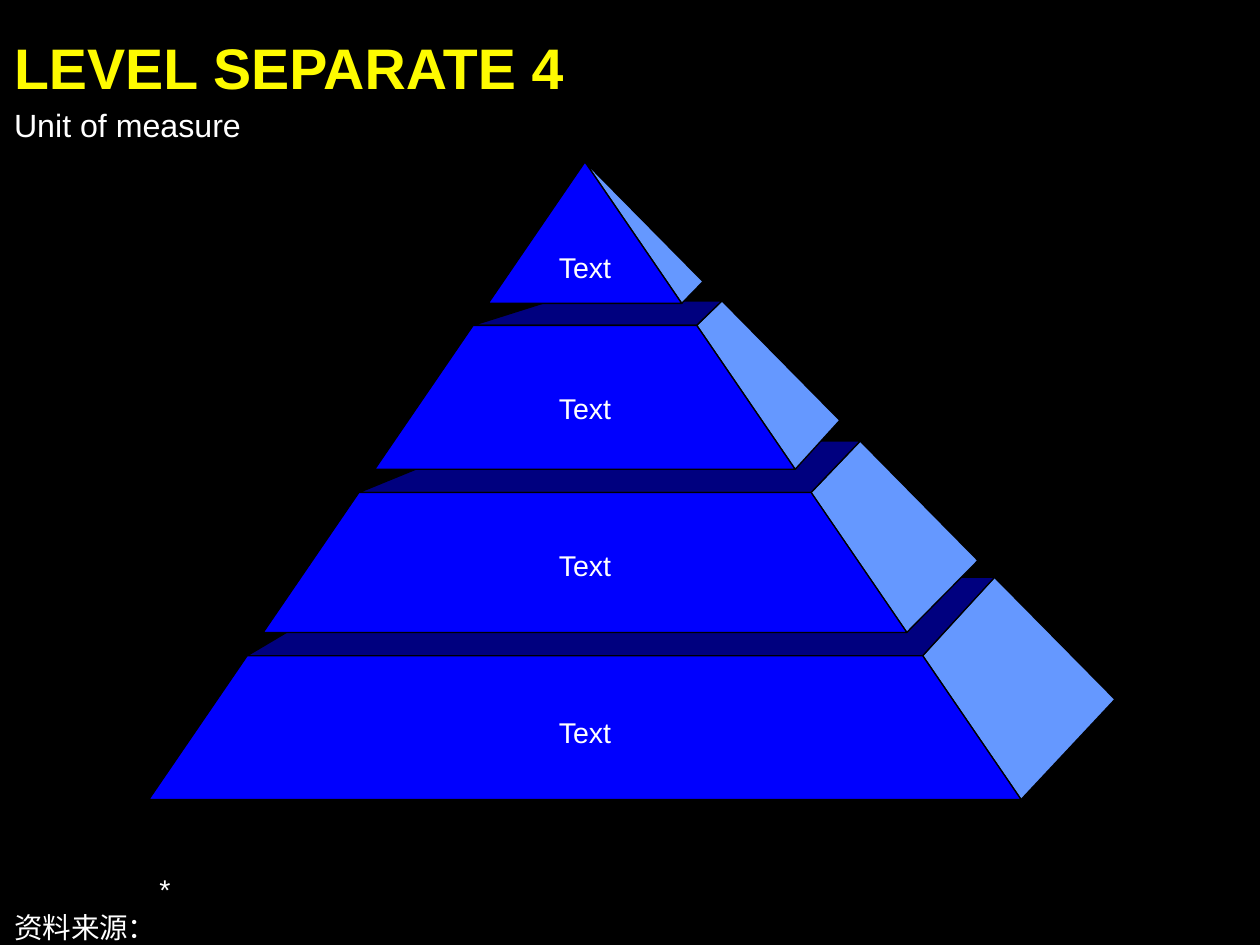
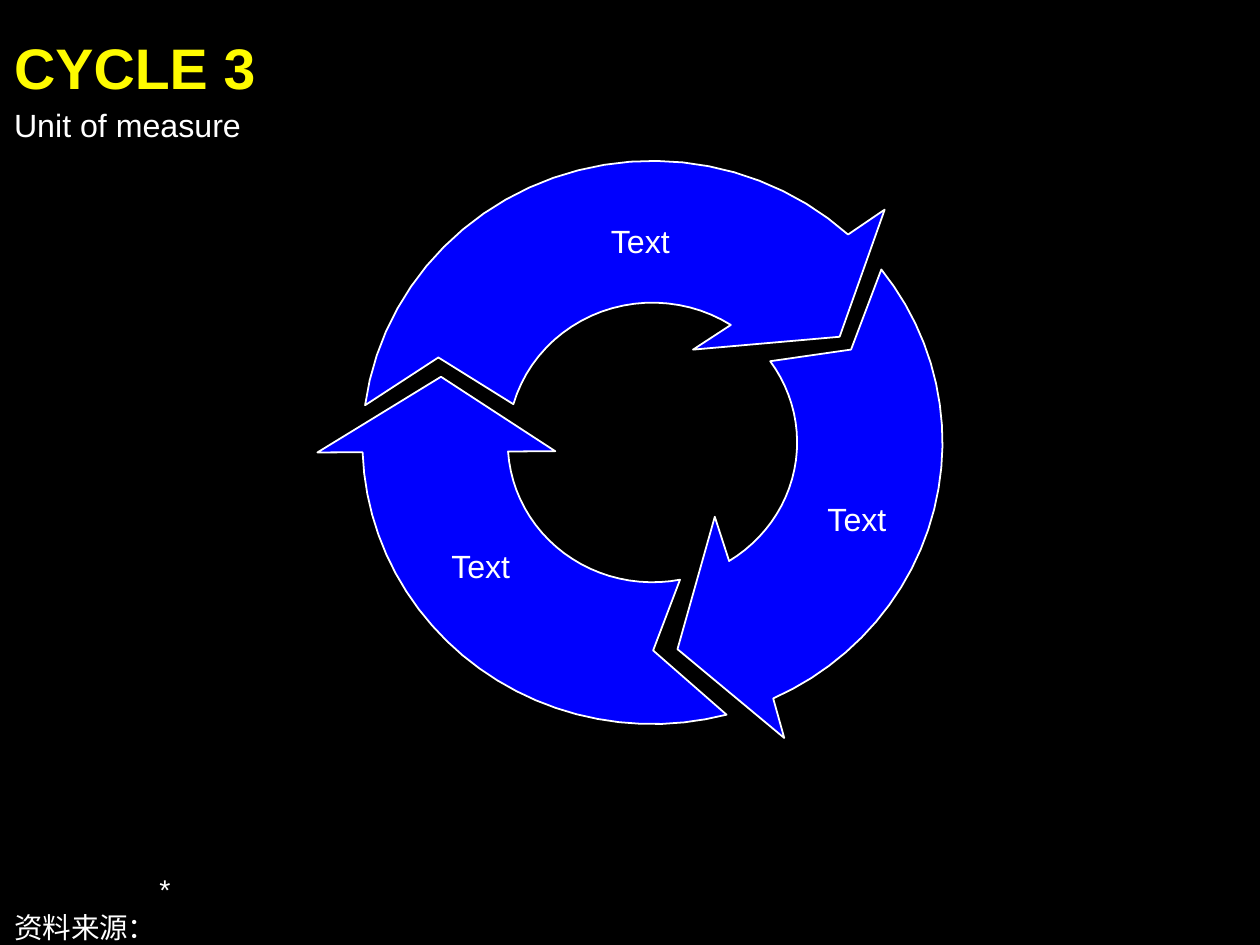
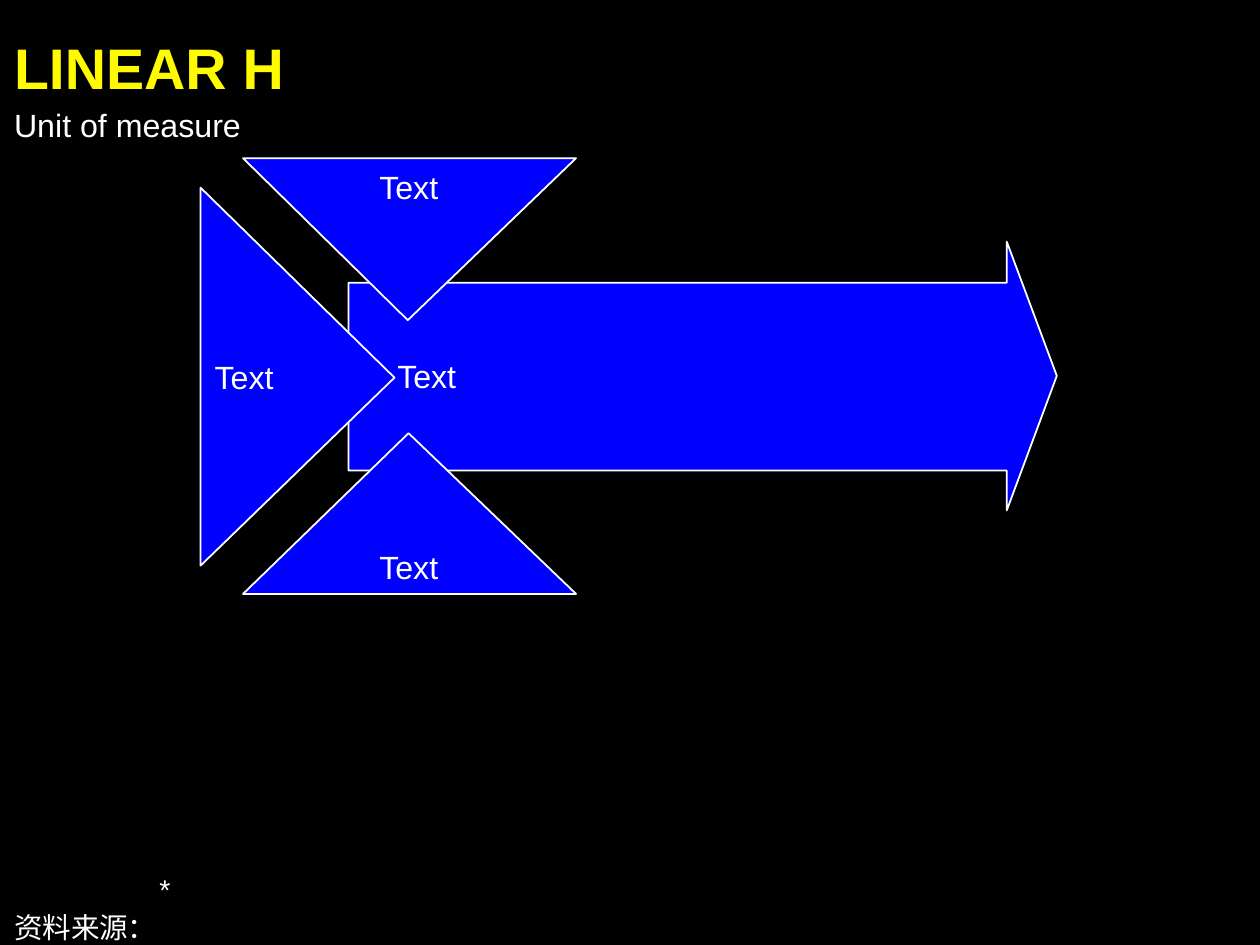
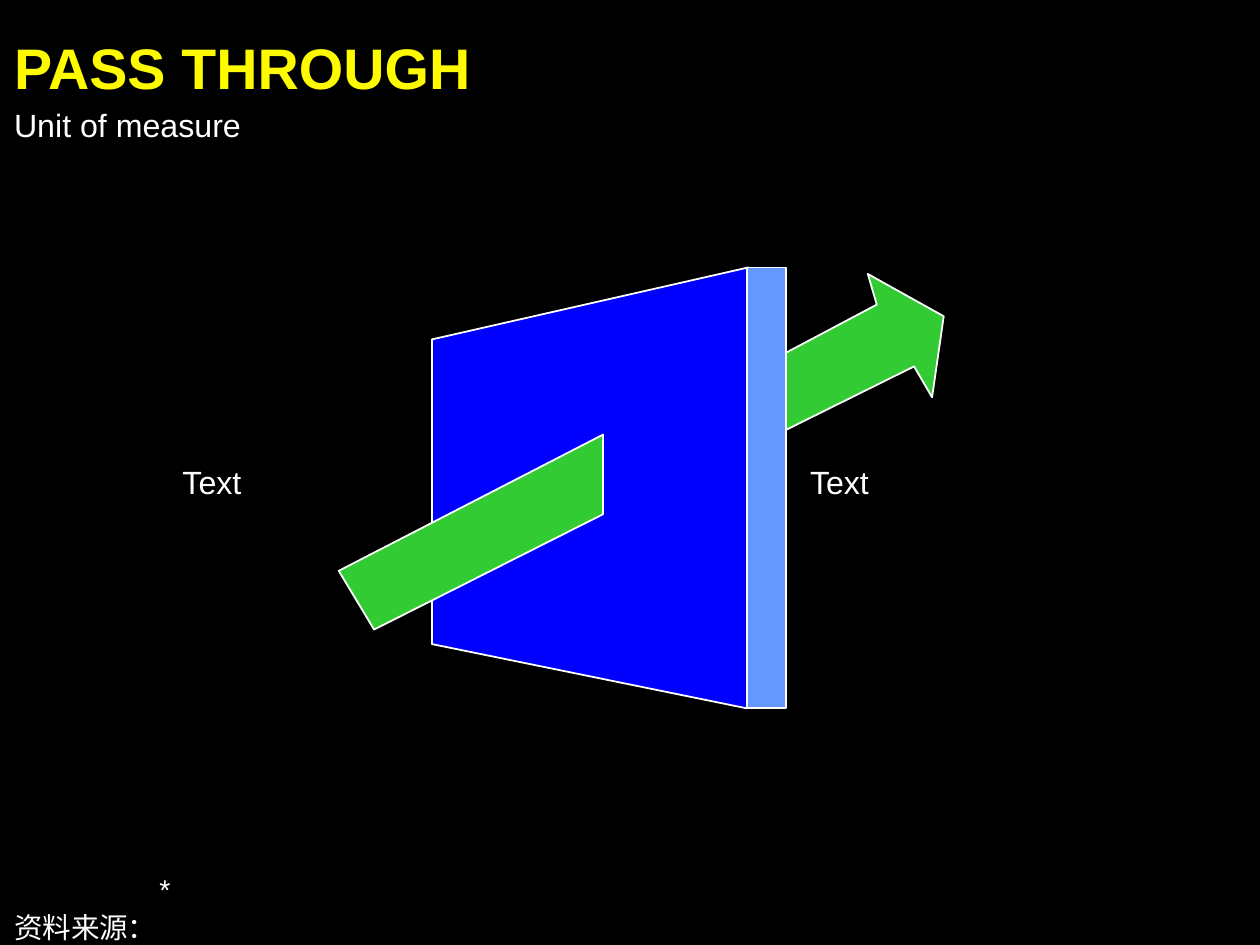
from math import cos, radians, sin

from lxml.etree import SubElement
from pptx import Presentation
from pptx.dml.color import RGBColor
from pptx.enum.shapes import MSO_SHAPE as Preset
from pptx.enum.text import MSO_ANCHOR as Anchor, MSO_AUTO_SIZE as AutoSize, PP_ALIGN as Align
from pptx.oxml.ns import qn
from pptx.util import Pt

BLACK, WHITE, YELLOW = "000000", "FFFFFF", "FEFB00"
BLUE, LIGHT_BLUE, GREEN = "0000FE", "6598FF", "33CB33"


def color(hex_string):
    return RGBColor.from_string(hex_string)


class Deck:
    """Holds the shared style and the slide being drawn; all lengths are points."""

    font_name = "Arial"
    left = 7.9

    def __init__(self, width, height):
        self.presentation = Presentation()
        self.presentation.slide_width = Pt(width)
        self.presentation.slide_height = Pt(height)
        background = self.presentation.slide_master.background.fill
        background.solid()
        background.fore_color.rgb = color(BLACK)
        self.slide = None

    def add_slide(self, title):
        layout = self.presentation.slide_layouts.get_by_name("Title Only")
        self.slide = self.presentation.slides.add_slide(layout)
        placeholder = self.slide.shapes.title
        placeholder.left, placeholder.top = Pt(self.left), Pt(18)
        placeholder.width, placeholder.height = Pt(684.7), Pt(38.2)
        self.format_frame(placeholder.text_frame, Anchor.TOP)
        self.add_text_run(placeholder.text_frame.paragraphs[0], title, 32, YELLOW, bold=True)
        self.text("Unit of measure", self.left, 59, 521.3)
        self.footer("\t*", "资料来源：")

    def format_frame(self, frame, anchor):
        frame.word_wrap = True
        frame.auto_size = AutoSize.NONE
        frame.vertical_anchor = anchor
        frame.margin_left = frame.margin_right = frame.margin_top = frame.margin_bottom = 0

    def add_text_run(self, paragraph, text, size, text_color=WHITE, bold=False,
                     align=Align.LEFT):
        paragraph.alignment = align
        run = paragraph.add_run()
        run.text = text
        run.font.name = self.font_name
        run.font.size = Pt(size)
        run.font.bold = bold
        run.font.color.rgb = color(text_color)

    def frame(self, left, top, width, height, anchor):
        box = self.slide.shapes.add_textbox(Pt(left), Pt(top), Pt(width), Pt(height))
        self.format_frame(box.text_frame, anchor)
        return box.text_frame

    def text(self, text, left, top, width, size=18, align=Align.LEFT):
        frame = self.frame(left, top, width, size * 1.2, Anchor.MIDDLE)
        self.add_text_run(frame.paragraphs[0], text, size, align=align)

    def footer(self, *lines):
        """Bottom-anchored notes whose text hangs from a tabbed label column."""
        frame = self.frame(self.left, 488.2, 678.2, 40.3, Anchor.BOTTOM)
        for index, line in enumerate(lines):
            paragraph = frame.add_paragraph() if index else frame.paragraphs[0]
            properties = paragraph._p.get_or_add_pPr()
            properties.set("marL", str(Pt(81.4)))
            properties.set("indent", str(-Pt(81.4)))
            tabs = SubElement(properties, qn("a:tabLst"))
            for position, side in ((0, "l"), (70.6, "r"), (128, "l")):
                SubElement(tabs, qn("a:tab"), pos=str(Pt(position)), algn=side)
            paragraph.space_after = Pt(2)
            self.add_text_run(paragraph, line, 16)

    def paint(self, shape, fill, line, line_width, opacity=100):
        shape.shadow.inherit = False
        shape.fill.solid()
        shape.fill.fore_color.rgb = color(fill)
        if opacity < 100:
            fill_color = shape._element.spPr.find(qn("a:solidFill"))[0]
            SubElement(fill_color, qn("a:alpha"), val=str(opacity * 1000))
        shape.line.color.rgb = color(line)
        shape.line.width = Pt(line_width)

    def outline(self, points, fill=BLUE, line=WHITE, line_width=1, opacity=100, close=True):
        start, *rest = [(Pt(x), Pt(y)) for x, y in points]
        builder = self.slide.shapes.build_freeform(*start)
        builder.add_line_segments(rest, close=close)
        self.paint(builder.convert_to_shape(), fill, line, line_width, opacity)

    def rectangle(self, left, top, width, height, fill):
        shape = self.slide.shapes.add_shape(
            Preset.RECTANGLE, Pt(left), Pt(top), Pt(width), Pt(height))
        self.paint(shape, fill, WHITE, 1)


def draw_pyramid(deck):
    deck.add_slide("LEVEL SEPARATE 4")
    apex_x, apex_y = 327.6, 90.7

    def front(y, side):
        return apex_x + side * 0.684 * (y - apex_y), y

    def back(y):
        return apex_x + 0.986 * (y - apex_y), y

    # front top, front bottom, back top, back bottom, back left x, label middle, label width
    levels = (
        (367.2, 447.8, 323.3, 391.7, 212.4, 410, 375.8),
        (275.8, 354.2, 247, 313.9, 271.4, 316.4, 259.2),
        (182.2, 262.8, 168.5, 235.4, 308.2, 228.6, 135.4),
        (apex_y, 169.9, apex_y, 157.7, apex_x, 149.4, 51.1),
    )
    edge = {"line": BLACK, "line_width": 0.75}
    for top, bottom, back_top, back_bottom, back_left, middle, width in levels:
        top_left, top_right = front(top, -1), front(top, 1)
        bottom_left, bottom_right = front(bottom, -1), front(bottom, 1)
        deck.outline([bottom_right, top_right, back(back_top), back(back_bottom)],
                     LIGHT_BLUE, **edge)
        if top > apex_y:
            deck.outline([top_left, top_right, back(back_top), (back_left, back_top)],
                         opacity=50, **edge)
            deck.outline([bottom_left, bottom_right, top_right, top_left], **edge)
        else:
            deck.outline([bottom_left, bottom_right, top_left], **edge)
        deck.text("Text", apex_x - width / 2, middle - 9.6, width, 16, Align.CENTER)


def arc(radius_x, radius_y, start, end, steps=24):
    """Points on the cycle's ellipse, from start to end in degrees clockwise."""
    angles = [radians(start + (end - start) * step / steps) for step in range(steps + 1)]
    return [(365.4 + radius_x * cos(angle), 247.8 + radius_y * sin(angle)) for angle in angles]


def draw_cycle(deck):
    deck.add_slide("CYCLE 3")
    # outer arc angles, arrowhead corners, inner arc angles, tail notch
    arrows = (
        ((187.6, 312.4), [(495.4, 117.4), (470.2, 188.6), (388.1, 195.8)],
         (302.8, 195.9), (245.5, 200.2)),
        ((75.2, 178), [(177.8, 253.4), (247, 211), (311, 252.7)],
         (176.3, 79), (365.8, 364.3)),
        ((-37.9, 65.4), [(439.2, 413.3), (379.4, 363.6), (400.3, 289.4)],
         (58, -35.5), (476.6, 195.8)),
    )
    for outer, head, inner, notch in arrows:
        deck.outline(arc(162.4, 157.7, *outer) + head + arc(81, 78.3, *inner) + [notch])
    for left, top, width in ((265, 123.8, 187.2), (437.8, 279.4, 84.2), (228.2, 306, 82.1)):
        deck.text("Text", left, top, width, align=Align.CENTER)


def draw_linear(deck):
    deck.add_slide("LINEAR H")
    deck.outline([(195.1, 158.4), (563.8, 158.4), (563.8, 135.4), (591.8, 210.5),
                  (563.8, 285.8), (563.8, 263.5), (195.1, 263.5)])
    deck.outline([(136.1, 88.6), (322.6, 88.6), (228.4, 179.3)])
    deck.outline([(136.1, 332.6), (322.6, 332.6), (228.8, 242.6)])
    deck.outline([(112.3, 105.1), (220.9, 211.5), (112.3, 316.8)])
    for top in (93.6, 306.7):
        deck.text("Text", 191.5, top, 74.9, align=Align.CENTER)
    deck.text("Text", 120.2, 200.2, 75.6)
    deck.text("Text", 222.5, 199.4, 347.8)


def draw_pass_through(deck):
    deck.add_slide("PASS THROUGH")
    deck.outline([(440.6, 197.3), (491, 170.6), (486, 153.4), (528.5, 177.1),
                  (522, 222.5), (511.9, 205.2), (440.6, 240.5)], GREEN, close=False)
    deck.outline([(241.9, 190.1), (419, 149.8), (418.3, 396.7), (241.9, 360.7)])
    deck.rectangle(418.3, 149.8, 21.8, 246.9, LIGHT_BLUE)
    deck.outline([(189.7, 319.7), (337.7, 243.4), (337.7, 288), (209.5, 352.6)], GREEN)
    for left, width in ((102.2, 106.6), (453.6, 166.3)):
        deck.text("Text", left, 259.2, width)


def main():
    deck = Deck(705.6, 529.2)
    for draw in (draw_pyramid, draw_cycle, draw_linear, draw_pass_through):
        draw(deck)
    deck.presentation.save("out.pptx")


if __name__ == "__main__":
    main()
